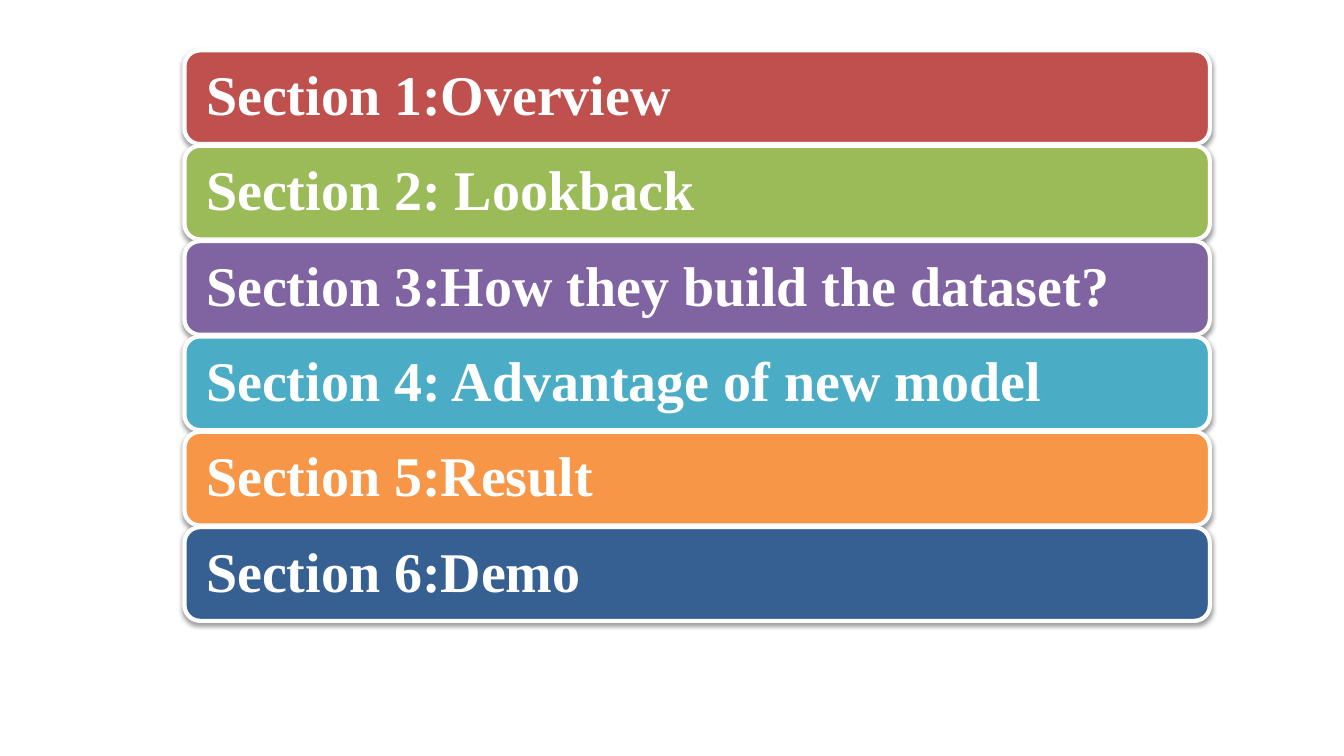
from dataclasses import dataclass

from lxml import etree
from pptx import Presentation, util as u
from pptx.dml.color import RGBColor
from pptx.enum import shapes, text
from pptx.oxml.ns import qn
from pptx.shapes.autoshape import Shape
from pptx.slide import Slide
from pptx.text.text import TextFrame


@dataclass(frozen=True)
class Theme:
    font: str = "Times New Roman"
    size: float = 40
    white: str = "FFFFFF"
    shadow: str = "000000"
    red: str = "C0504D"
    green: str = "9BBB59"
    purple: str = "8064A2"
    teal: str = "4BACC6"
    orange: str = "F79646"
    blue: str = "376092"


@dataclass(frozen=True)
class Section:
    title: str
    color: str


THEME = Theme()
SECTIONS = [
    Section("Section 1:Overview", THEME.red),
    Section("Section 2: Lookback", THEME.green),
    Section("Section 3:How they build the dataset?", THEME.purple),
    Section("Section 4: Advantage of new model", THEME.teal),
    Section("Section 5:Result", THEME.orange),
    Section("Section 6:Demo", THEME.blue),
]


@dataclass(frozen=True)
class Grid:
    """One column of equally spaced rows, in inches."""
    left: float = 1.83
    first_top: float = 0.5
    last_top: float = 5.23
    width: float = 10.17
    height: float = 0.93
    rows: int = len(SECTIONS)

    def row(self, index: int) -> tuple[u.Length, ...]:
        pitch = (self.last_top - self.first_top) / (self.rows - 1)
        top = self.first_top + index * pitch
        return tuple(u.Inches(v) for v in (self.left, top, self.width, self.height))


GRID = Grid()


def write_text(tf: TextFrame, content: str, *, size: float = THEME.size,
               color: str = THEME.white, bold: bool = True, inset: float = 0.17) -> None:
    tf.word_wrap = True
    tf.vertical_anchor = text.MSO_ANCHOR.MIDDLE
    tf.margin_left = tf.margin_right = tf.margin_top = tf.margin_bottom = u.Inches(inset)
    p = tf.paragraphs[0]
    p.alignment = text.PP_ALIGN.LEFT
    p.line_spacing = 0.9
    r = p.add_run()
    r.text = content
    r.font.name = THEME.font
    r.font.size = u.Pt(size)
    r.font.bold = bold
    r.font.color.rgb = RGBColor.from_string(color)


def add_drop_shadow(sp: Shape) -> None:
    sp.shadow.inherit = False
    effects = sp._element.spPr.find(qn("a:effectLst"))
    outer = etree.SubElement(effects, qn("a:outerShdw"), blurRad=str(u.Pt(3.1)),
                             dist=str(u.Pt(1.6)), dir="5400000", rotWithShape="0")
    color = etree.SubElement(outer, qn("a:srgbClr"), val=THEME.shadow)
    etree.SubElement(color, qn("a:alpha"), val="38000")


def add_bar(s: Slide, index: int, section: Section) -> None:
    sp = s.shapes.add_shape(shapes.MSO_SHAPE.ROUNDED_RECTANGLE, *GRID.row(index))
    sp.fill.solid()
    sp.fill.fore_color.rgb = RGBColor.from_string(section.color)
    sp.line.color.rgb = RGBColor.from_string(THEME.white)
    sp.line.width = u.Pt(3)
    add_drop_shadow(sp)
    write_text(sp.text_frame, section.title)


def main() -> None:
    prs = Presentation()
    prs.slide_width, prs.slide_height = u.Inches(13.33), u.Inches(7.5)
    s = prs.slides.add_slide(prs.slide_layouts.get_by_name("Blank"))
    for index, section in enumerate(SECTIONS):
        add_bar(s, index, section)
    prs.save("out.pptx")


if __name__ == "__main__":
    main()
